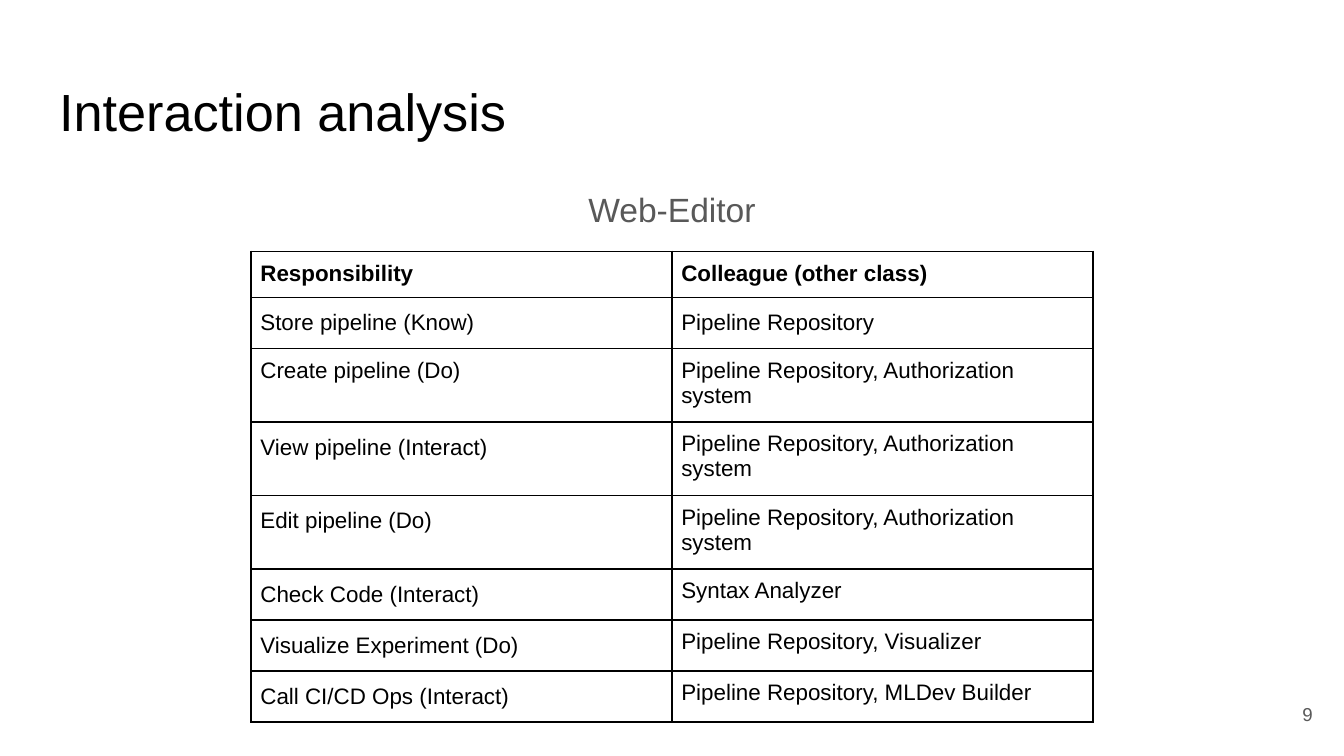
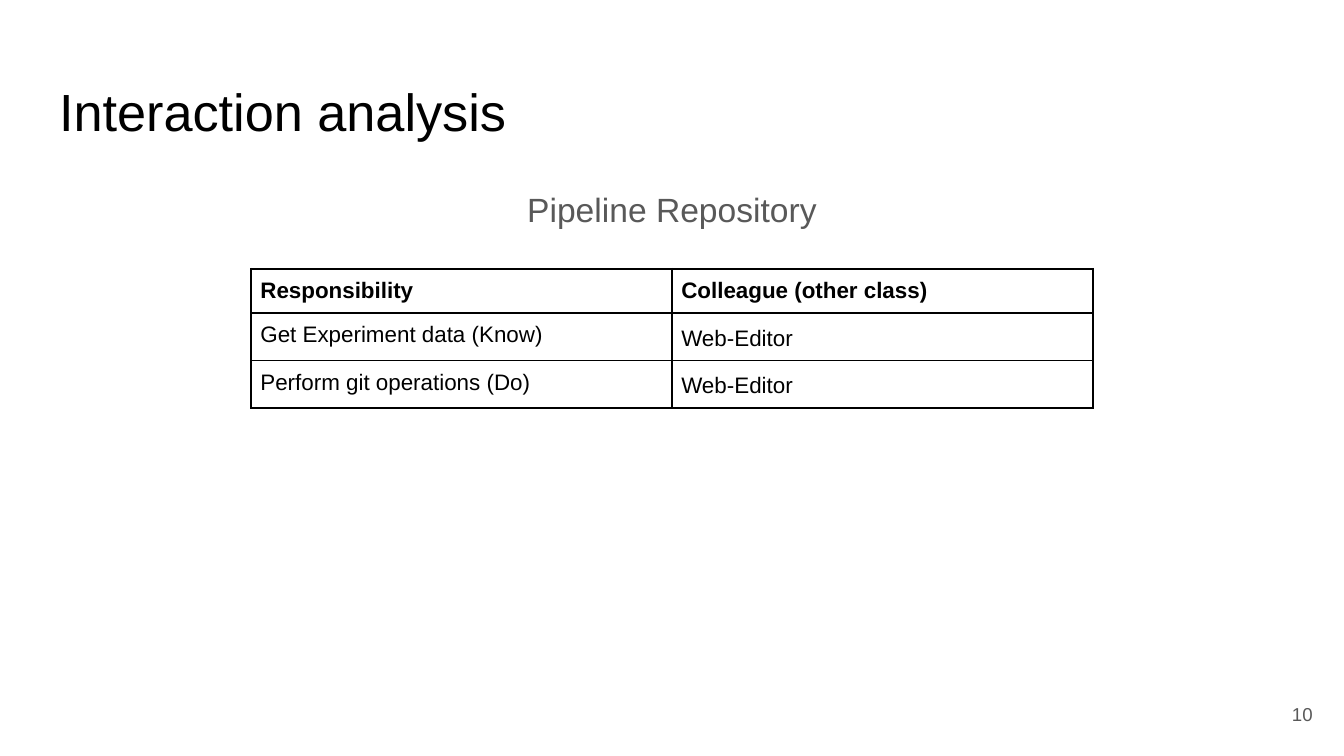
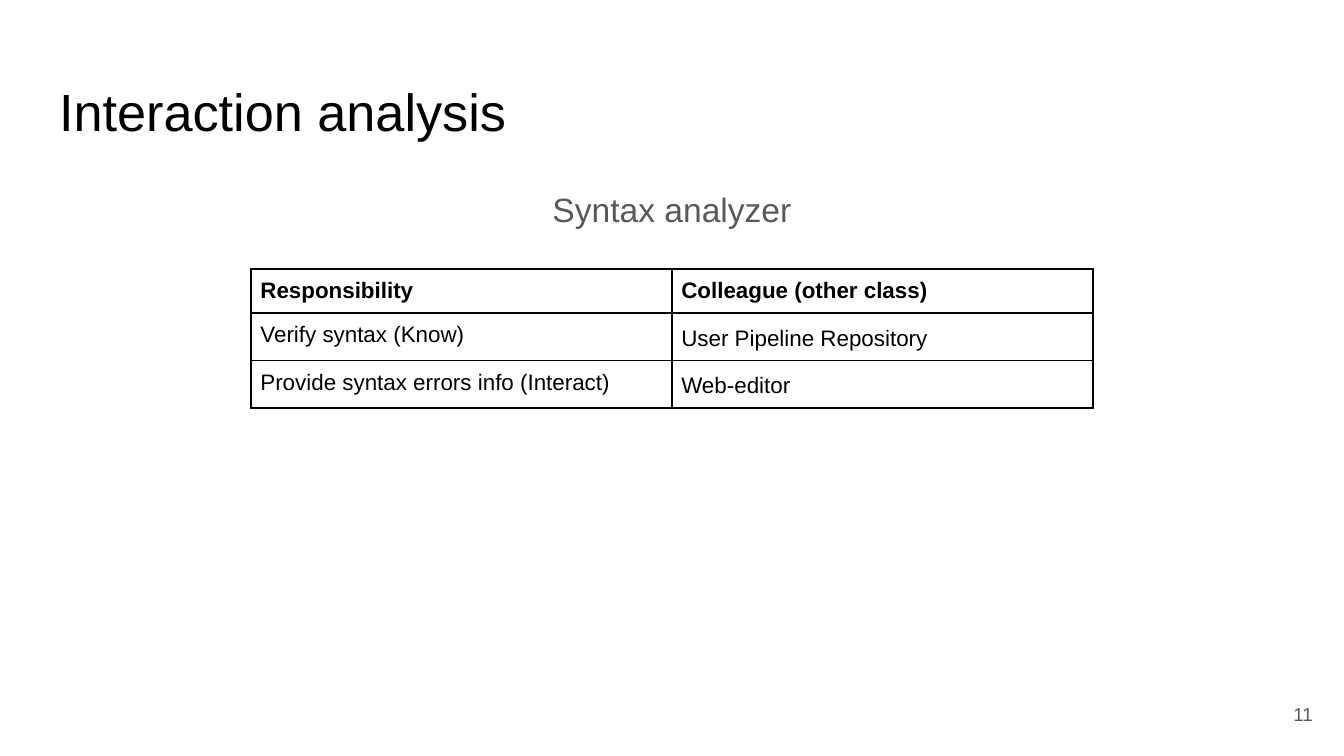
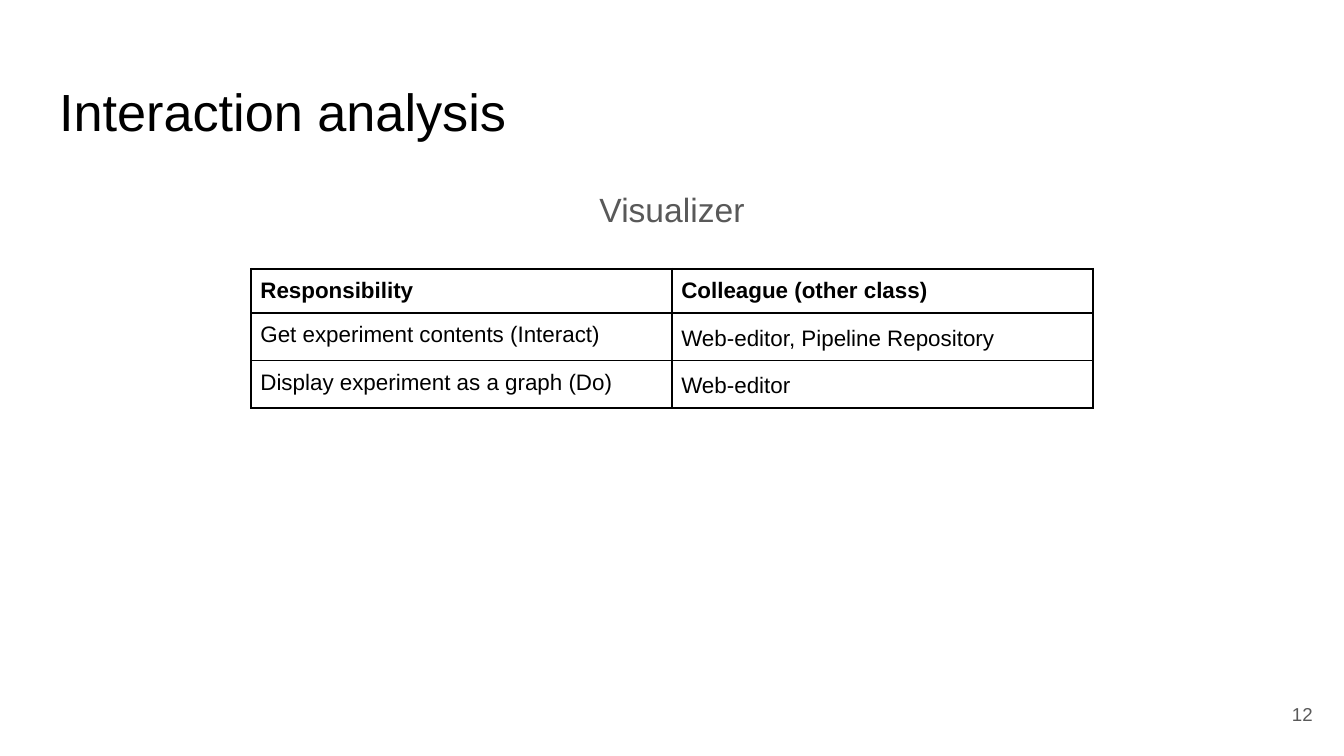
from dataclasses import dataclass
from typing import Optional

import pptx
import pptx.dml.color
import pptx.enum.text
import pptx.oxml
import pptx.oxml.ns
import pptx.util

Pt = pptx.util.Pt
ALIGN = pptx.enum.text.PP_ALIGN
ANCHOR = pptx.enum.text.MSO_ANCHOR

# Shared style
FONT = "Arial"
BLACK = pptx.dml.color.RGBColor(0x00, 0x00, 0x00)
GRAY = pptx.dml.color.RGBColor(0x59, 0x59, 0x59)
SLIDE_WIDTH, SLIDE_HEIGHT = 720, 405
MARGIN = 24.5
CONTENT_WIDTH = SLIDE_WIDTH - 2 * MARGIN
COLUMN_WIDTH = 225.5
TABLE_LEFT = SLIDE_WIDTH / 2 - COLUMN_WIDTH
TEXT_INSET, CELL_INSET = 7.2, 5
LOOSE = 1.15
TITLE = "Interaction analysis"
HEADINGS = ("Responsibility", "Colleague (other class)")
FIRST_NUMBER = 9


@dataclass(frozen=True)
class Duty:
    responsibility: str
    colleague: str
    height: float = 25.5
    left_spacing: Optional[float] = None
    right_spacing: Optional[float] = LOOSE


@dataclass(frozen=True)
class ClassCard:
    name: str
    duties: tuple[Duty, ...]
    table_top: float = 144
    header_height: float = 23.6


SHARED_COLLEAGUES = "Pipeline Repository, Authorization system"
ONE_LINE, TWO_LINES = 27.3, 39.4

CARDS = (
    ClassCard("Web-Editor", (
        Duty("Store pipeline (Know)", "Pipeline Repository", ONE_LINE, LOOSE),
        Duty("Create pipeline (Do)", SHARED_COLLEAGUES, TWO_LINES, None, None),
        Duty("View pipeline (Interact)", SHARED_COLLEAGUES, TWO_LINES, LOOSE, None),
        Duty("Edit pipeline (Do)", SHARED_COLLEAGUES, TWO_LINES, LOOSE, None),
        Duty("Check Code (Interact)", "Syntax Analyzer", ONE_LINE, LOOSE, None),
        Duty("Visualize Experiment (Do)", "Pipeline Repository, Visualizer", ONE_LINE, LOOSE, None),
        Duty("Call CI/CD Ops (Interact)", "Pipeline Repository, MLDev Builder", ONE_LINE, LOOSE, None),
    ), table_top=134.75, header_height=24.6),
    ClassCard("Pipeline Repository", (
        Duty("Get Experiment data (Know)", "Web-Editor"),
        Duty("Perform git operations (Do)", "Web-Editor"),
    )),
    ClassCard("Syntax analyzer", (
        Duty("Verify syntax (Know)", "User Pipeline Repository"),
        Duty("Provide syntax errors info (Interact)", "Web-editor"),
    )),
    ClassCard("Visualizer", (
        Duty("Get experiment contents (Interact)", "Web-editor, Pipeline Repository"),
        Duty("Display experiment as a graph (Do)", "Web-editor"),
    )),
)


def write_text(frame, text: str, *, size: float, color=BLACK, bold: bool = False,
               align=ALIGN.LEFT, spacing: Optional[float] = None) -> None:
    """Put one formatted paragraph into a text frame."""
    para = frame.paragraphs[0]
    para.alignment = align
    if spacing:
        para.line_spacing = spacing
    span = para.add_run()
    span.text = text
    span.font.name = FONT
    span.font.size = Pt(size)
    span.font.bold = bold
    span.font.color.rgb = color


def set_insets(target, inset: float) -> None:
    """Give a text frame or cell equal margins."""
    target.margin_left = target.margin_right = Pt(inset)
    target.margin_top = target.margin_bottom = Pt(inset)


def set_frame(box, anchor=ANCHOR.TOP):
    """Prepare the text frame of a box."""
    frame = box.text_frame
    frame.word_wrap = True
    frame.auto_size = pptx.enum.text.MSO_AUTO_SIZE.NONE
    frame.vertical_anchor = anchor
    set_insets(frame, TEXT_INSET)
    return frame


def set_borders(cell, color=BLACK, width: float = 1) -> None:
    """Draw a solid line on all four sides of a cell."""
    properties = cell._tc.get_or_add_tcPr()
    for side in ("lnL", "lnR", "lnT", "lnB"):
        properties.append(pptx.oxml.parse_xml(
            f'<a:{side} {pptx.oxml.ns.nsdecls("a")} w="{Pt(width)}"><a:solidFill>'
            f'<a:srgbClr val="{color}"/></a:solidFill></a:{side}>'))


def add_title(page) -> None:
    box = page.shapes.title
    box.left, box.top = Pt(MARGIN), Pt(35.5)
    box.width, box.height = Pt(CONTENT_WIDTH), Pt(45)
    write_text(set_frame(box), TITLE, size=28)


def add_class_name(page, name: str) -> None:
    box = page.shapes.add_textbox(Pt(MARGIN), Pt(90.75), Pt(CONTENT_WIDTH), Pt(36))
    write_text(set_frame(box), name, size=18, color=GRAY, align=ALIGN.CENTER, spacing=LOOSE)


def add_page_number(page, number: int) -> None:
    box = page.shapes.add_textbox(Pt(667.1), Pt(367.2), Pt(43.2), Pt(31))
    write_text(set_frame(box, ANCHOR.MIDDLE), str(number), size=10, color=GRAY,
               align=ALIGN.RIGHT)


def add_duty_table(page, card: ClassCard) -> None:
    header = Duty(*HEADINGS, height=card.header_height, right_spacing=None)
    rows = (header, *card.duties)
    total = sum(row.height for row in rows)
    table = page.shapes.add_table(len(rows), len(HEADINGS), Pt(TABLE_LEFT), Pt(card.table_top),
                                  Pt(2 * COLUMN_WIDTH), Pt(total)).table
    table.first_row = table.horz_banding = False
    for column in table.columns:
        column.width = Pt(COLUMN_WIDTH)
    for index, row in enumerate(rows):
        table.rows[index].height = Pt(row.height)
        entries = ((row.responsibility, row.left_spacing), (row.colleague, row.right_spacing))
        for cell, (text, spacing) in zip(table.rows[index].cells, entries):
            set_borders(cell)
            cell.fill.background()
            set_insets(cell, CELL_INSET)
            write_text(cell.text_frame, text, size=12, bold=row is header, spacing=spacing)


def main() -> None:
    deck = pptx.Presentation()
    deck.slide_width, deck.slide_height = Pt(SLIDE_WIDTH), Pt(SLIDE_HEIGHT)
    title_only = deck.slide_layouts[5]
    for number, card in enumerate(CARDS, start=FIRST_NUMBER):
        page = deck.slides.add_slide(title_only)
        add_title(page)
        add_class_name(page, card.name)
        add_duty_table(page, card)
        add_page_number(page, number)
    deck.save("out.pptx")


if __name__ == "__main__":
    main()
